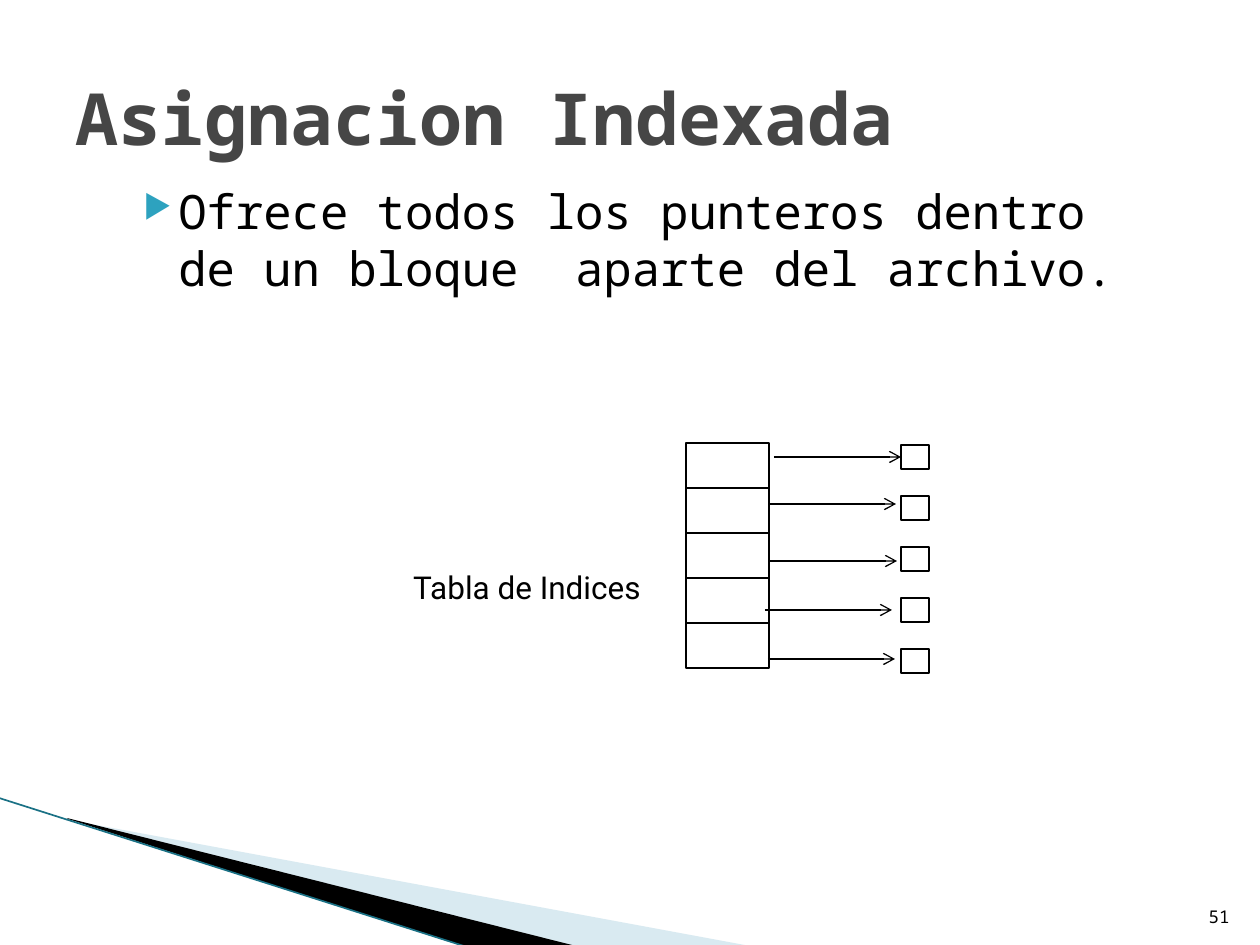
from lxml import etree
from pptx import Presentation
from pptx import util as u
from pptx.dml.color import RGBColor
from pptx.enum import shapes, text
from pptx.oxml.ns import qn

COLORS = {"ink": "000000", "paper": "FFFFFF", "title": "464646",
          "bullet": "2DA2BF", "pale": "A0CBDC", "edge": "1A7185"}
MONO, SANS = "Noto Sans Mono", "Roboto"
SCALE = 914400 / 126


def px(length):
    return u.Emu(round(length * SCALE))


def color(name):
    return RGBColor.from_string(COLORS[name])


class SlideBuilder:
    def __init__(self, slide):
        self.slide = slide

    def fill_text(self, frame, words, size, font=MONO, ink="ink", bold=False,
                  align=text.PP_ALIGN.LEFT, anchor=text.MSO_ANCHOR.TOP, wrap=True):
        frame.word_wrap = wrap
        frame.auto_size = text.MSO_AUTO_SIZE.NONE
        frame.vertical_anchor = anchor
        paragraph = frame.paragraphs[0]
        paragraph.alignment = align
        run = paragraph.add_run()
        run.text = words
        run.font.size, run.font.name, run.font.bold = u.Pt(size), font, bold
        run.font.color.rgb = color(ink)
        return paragraph

    def title(self, box, words, size):
        holder = self.slide.shapes.title
        holder.left, holder.top, holder.width, holder.height = map(px, box)
        self.fill_text(holder.text_frame, words, size, ink="title", bold=True,
                       anchor=text.MSO_ANCHOR.MIDDLE)

    def label(self, box, words, size, **style):
        frame = self.slide.shapes.add_textbox(*map(px, box)).text_frame
        return self.fill_text(frame, words, size, **style)

    def bullet(self, box, words, size):
        paragraph = self.label(box, words, size)
        props = paragraph._p.get_or_add_pPr()
        props.set("marL", str(px(50)))
        props.set("indent", str(px(-35)))
        tint = etree.SubElement(props, qn("a:buClr"))
        etree.SubElement(tint, qn("a:srgbClr"), val=COLORS["bullet"])
        etree.SubElement(props, qn("a:buSzPct"), val="68000")
        etree.SubElement(props, qn("a:buChar"), char="▶")

    def rect(self, box):
        shape = self.slide.shapes.add_shape(
            shapes.MSO_SHAPE.RECTANGLE, *map(px, box))
        shape.shadow.inherit = False
        shape.fill.solid()
        shape.fill.fore_color.rgb = color("paper")
        shape.line.color.rgb = color("ink")
        shape.line.width = u.Pt(0.75)
        return shape

    def wedge(self, points, fill, alpha=None):
        builder = self.slide.shapes.build_freeform(*points[0], scale=SCALE)
        builder.add_line_segments(points[1:], close=True)
        shape = builder.convert_to_shape()
        shape.shadow.inherit = False
        shape.fill.solid()
        shape.fill.fore_color.rgb = color(fill)
        shape.line.fill.background()
        if alpha:
            tint = shape._element.spPr.find(qn("a:solidFill"))[0]
            etree.SubElement(tint, qn("a:alpha"), val=str(alpha * 1000))

    def line(self, start, end, ink="ink", width=0.75, arrow=False):
        connector = self.slide.shapes.add_connector(
            shapes.MSO_CONNECTOR.STRAIGHT, *map(px, start + end))
        connector.line.color.rgb = color(ink)
        connector.line.width = u.Pt(width)
        properties = connector._element.spPr
        if arrow:
            etree.SubElement(properties.find(qn("a:ln")),
                             qn("a:tailEnd"), type="arrow")
        etree.SubElement(properties, qn("a:effectLst"))
        return connector


def main():
    deck = Presentation()
    deck.slide_width, deck.slide_height = px(1260), px(945)
    page = SlideBuilder(deck.slides.add_slide(deck.slide_layouts[5]))

    # Corner decoration
    page.wedge([(69, 820), (750, 946), (575, 946), (69, 819)], "pale", alpha=40)
    page.wedge([(67, 818), (576, 946), (469, 948), (68, 819)], "ink")
    page.line((-1, 798), (467, 947), ink="edge", width=0.95)

    # Title and body
    page.title((63, 38, 1134, 157), "Asignacion Indexada", 41)
    page.bullet((116, 176, 1013, 129),
                "Ofrece todos los punteros dentro de un bloque  aparte del archivo.", 27)

    # Index table and the file blocks it points to
    for row in range(5):
        page.rect((686, 443 + 45 * row, 83, 45))
    blocks = [page.rect((901, 445 + 51 * row, 28, 24)) for row in range(5)]

    # Pointers
    starts = [(774, 457), (769, 504), (770, 561), (765, 610), (768, 659)]
    pointers = [page.line((x, y), (x + 127, y), arrow=True) for x, y in starts]
    pointers[0].end_connect(blocks[0], 1)

    # Table label and page number
    page.label((399, 562, 256, 50), "Tabla de Indices", 18, font=SANS, wrap=False,
               align=text.PP_ALIGN.CENTER, anchor=text.MSO_ANCHOR.MIDDLE)
    page.label((1192, 883, 50, 50), "51", 10,
               align=text.PP_ALIGN.RIGHT, anchor=text.MSO_ANCHOR.BOTTOM)

    deck.save("out.pptx")


if __name__ == "__main__":
    main()
